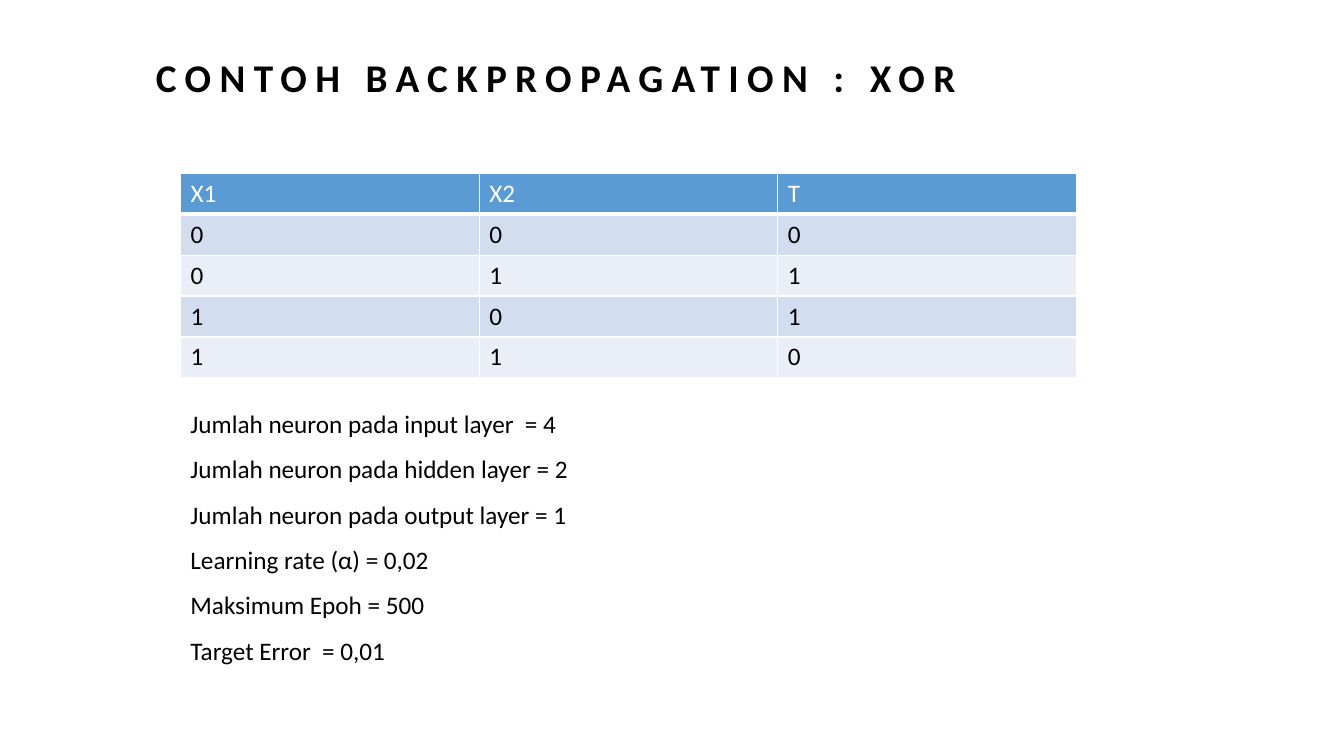
"""Builds the XOR backpropagation example slide."""
from lxml import etree
from pptx import Presentation
from pptx import util as u
from pptx.dml.color import RGBColor
from pptx.enum import text
from pptx.oxml import ns

BLACK = RGBColor(0x00, 0x00, 0x00)
WHITE = RGBColor(0xFF, 0xFF, 0xFF)
HEADER_BLUE = RGBColor(0x5B, 0x9B, 0xD5)
BAND_DARK = RGBColor(0xD2, 0xDE, 0xEF)
BAND_LIGHT = RGBColor(0xEA, 0xEF, 0xF7)

XOR_ROWS = [("X1", "X2", "T"), (0, 0, 0), (0, 1, 1), (1, 0, 1), (1, 1, 0)]
PARAMETERS = [
    "Jumlah neuron pada input layer  = 4",
    "Jumlah neuron pada hidden layer = 2",
    "Jumlah neuron pada output layer = 1",
    "Learning rate (α) = 0,02",
    "Maksimum Epoh = 500",
    "Target Error  = 0,01",
]


def format_font(font, size, color, bold=False):
    values = {"name": "Calibri", "size": u.Pt(size), "bold": bold}
    for name, value in values.items():
        setattr(font, name, value)
    font.color.rgb = color


def add_border(cell, side, width):
    properties = cell._tc.get_or_add_tcPr()
    line = etree.SubElement(properties, ns.qn(f"a:ln{side}"), w=str(u.Pt(width)))
    fill = etree.SubElement(line, ns.qn("a:solidFill"))
    etree.SubElement(fill, ns.qn("a:srgbClr"), val=str(WHITE))


presentation = Presentation()
presentation.slide_width = u.Cm(33.87)
presentation.slide_height = u.Cm(19.05)
slide = presentation.slides.add_slide(presentation.slide_layouts[5])

title = slide.shapes.title
title_place = {"left": 3.68, "top": 1.07, "width": 26.21, "height": 1.7}
for name, value in title_place.items():
    setattr(title, name, u.Cm(value))
title_frame = title.text_frame
title_frame.text = "CONTOH BACKPROPAGATION : XOR"
title_frame.auto_size = text.MSO_AUTO_SIZE.NONE
title_frame.vertical_anchor = text.MSO_ANCHOR.BOTTOM
for side in ("left", "top", "right", "bottom"):
    setattr(title_frame, f"margin_{side}", u.Cm(0.25))
title_paragraph = title_frame.paragraphs[0]
title_paragraph.alignment = text.PP_ALIGN.LEFT
title_font = title_paragraph.runs[0].font
format_font(title_font, 28, BLACK, bold=True)
title_font._element.set("spc", "600")

table = slide.shapes.add_table(
    len(XOR_ROWS), 3, u.Cm(4.55), u.Cm(4.37), u.Cm(22.58), u.Cm(5.15)
).table
for row_index, values in enumerate(XOR_ROWS):
    is_header = row_index == 0
    band = BAND_DARK if row_index % 2 else BAND_LIGHT
    for column_index, value in enumerate(values):
        cell = table.cell(row_index, column_index)
        cell.text = str(value)
        for side in "LRTB":
            add_border(cell, side, 3 if is_header and side == "B" else 1)
        cell.fill.solid()
        cell.fill.fore_color.rgb = HEADER_BLUE if is_header else band
        font = cell.text_frame.paragraphs[0].runs[0].font
        format_font(font, 18, WHITE if is_header else BLACK)

parameter_box = slide.shapes.add_textbox(
    u.Cm(4.55), u.Cm(9.78), u.Cm(16.94), u.Cm(7.09)
)
parameter_frame = parameter_box.text_frame
parameter_frame.word_wrap = True
parameter_frame.auto_size = text.MSO_AUTO_SIZE.SHAPE_TO_FIT_TEXT
parameter_frame.text = "\n".join(PARAMETERS)
for paragraph in parameter_frame.paragraphs:
    paragraph.alignment = text.PP_ALIGN.JUSTIFY
    paragraph.line_spacing = 1.5
    format_font(paragraph.runs[0].font, 18, BLACK)

presentation.save("out.pptx")
